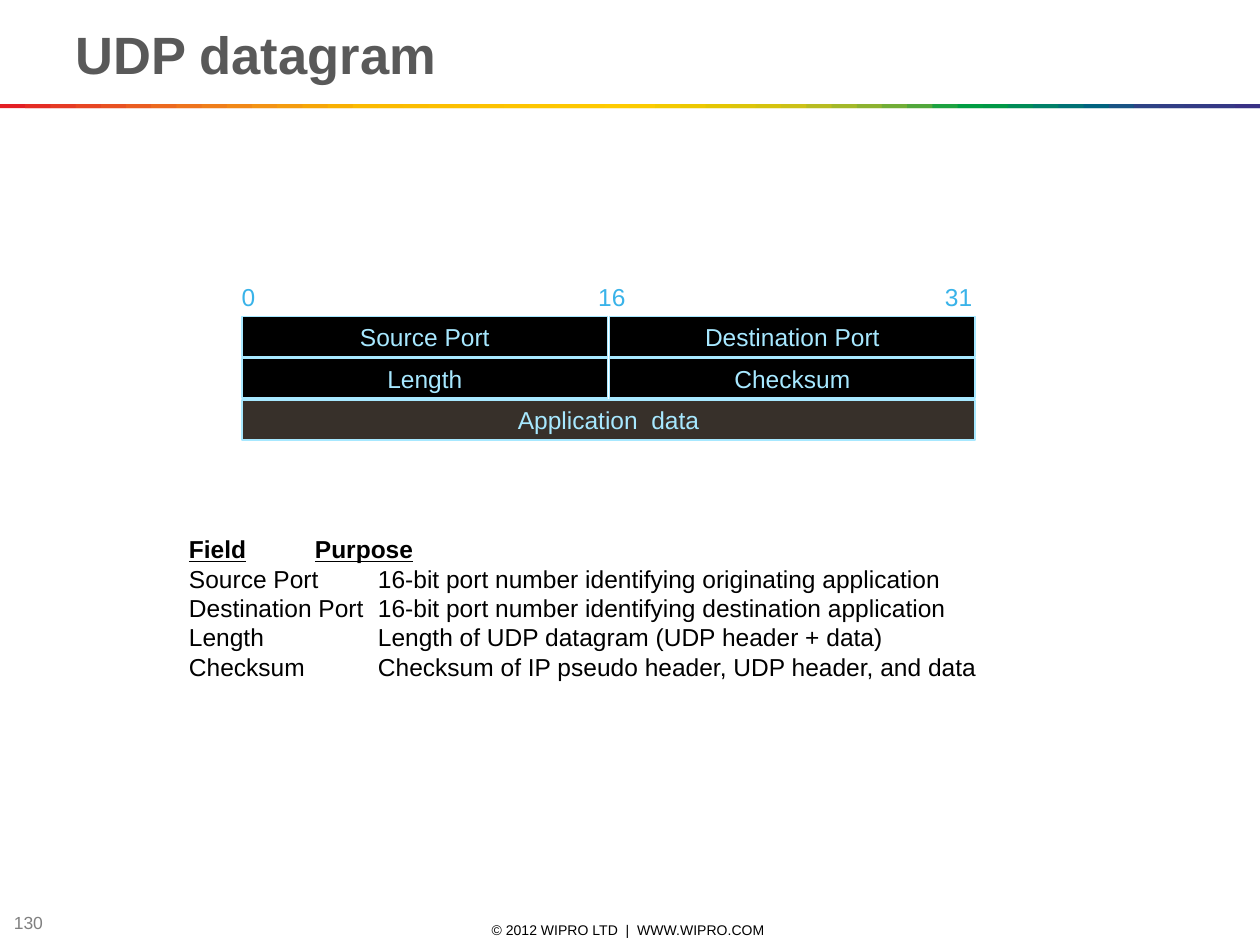
from typing import NamedTuple

from lxml.etree import SubElement
from pptx import Presentation
from pptx.dml.color import RGBColor as Rgb
from pptx.enum.shapes import MSO_SHAPE as Kind
from pptx.enum.text import MSO_ANCHOR as Anchor, PP_ALIGN as Align
from pptx.oxml.ns import qn
from pptx.slide import Slide
from pptx.text.text import TextFrame
from pptx.util import Cm, Pt

WIDE, HIGH = 25.4, 19.05
COLORS = {
    "title": "595959", "text": "000000", "page": "808080", "tick": "39B3E9",
    "edge": "A7E8FF", "head": "000000", "data": "37302A",
    "strip": "E31E24 E42C24 E53A24 E74623 E85122 EA5D21 EC691F EE741D EF7E1A F18817 "
             "F39314 F49C0F F6A607 F8B002 FBBA00 FBBB00 FBBD00 FCBF00 FCC000 FCC200 "
             "FDC400 FDC600 FDC700 FEC900 FECB00 FBCB00 F3CA00 ECC800 E4C602 DCC50A "
             "D5C30E CCC117 B8BC21 A3B829 8CB230 71AD36 51A73B 1DA240 009D43 009846 "
             "008C57 008068 007275 00637F 185384 2E4285 313E85 333B85 353885 393185",
}


class Box(NamedTuple):
    left: float
    top: float
    width: float
    height: float


class Label(NamedTuple):
    text: str
    box: Box
    size: int
    color: str
    bold: bool = False
    wrap: bool = True
    align: Align = Align.LEFT
    anchor: Anchor = Anchor.TOP
    pad: float = 0.13


class Field(NamedTuple):
    text: str
    row: int
    col: int = 0
    span: int = 1
    fill: str = "head"


LABELS = [
    Label("© 2012 WIPRO LTD  |  WWW.WIPRO.COM", Box(8.64, 18.54, 8.05, 0.41), 8, "text",
          align=Align.CENTER, anchor=Anchor.MIDDLE, pad=0),
    Label("130", Box(0.03, 18.34, 1.9, 0.53), 10, "page", anchor=Anchor.MIDDLE, pad=0),
    Label("UDP datagram", Box(1.27, 0.3, 22.86, 1.55), 30, "title", bold=True,
          anchor=Anchor.BOTTOM),
    Label("0", Box(4.62, 5.56, 0.79, 0.84), 14, "tick", wrap=False),
    Label("16", Box(11.81, 5.56, 1.07, 0.84), 14, "tick", wrap=False),
    Label("31", Box(18.8, 5.56, 1.07, 0.84), 14, "tick", wrap=False),
]
FIELDS = [
    Field("Source Port", 0), Field("Destination Port", 0, 1),
    Field("Length", 1), Field("Checksum", 1, 1),
    Field("Application  data", 2, span=2, fill="data"),
]
GRID = Box(4.88, 6.38, 7.37, 0.81)
GAP_X, GAP_Y = 0.04, 0.03
NOTES = [
    "Field\tPurpose",
    "Source Port\t16-bit port number identifying originating application",
    "Destination Port\t16-bit port number identifying destination application",
    "Length\tLength of UDP datagram (UDP header + data)",
    "Checksum\tChecksum of IP pseudo header, UDP header, and data",
]
HEAD_TAB, ROW_TAB = 2.54, 3.81


def color(name: str) -> Rgb:
    return Rgb.from_string(COLORS[name])


def style(frame: TextFrame, size: int, name: str, bold: bool = False) -> None:
    for para in frame.paragraphs:
        for run in para.runs:
            font = run.font
            font.name, font.size, font.bold = "Arial", Pt(size), bold
            font.color.rgb = color(name)


def add_label(slide: Slide, label: Label) -> TextFrame:
    frame = slide.shapes.add_textbox(*map(Cm, label.box)).text_frame
    frame.text = label.text
    frame.word_wrap = label.wrap
    frame.vertical_anchor = label.anchor
    frame.margin_top = frame.margin_bottom = Cm(label.pad)
    for para in frame.paragraphs:
        para.alignment = label.align
    style(frame, label.size, label.color, label.bold)
    return frame


def add_strip(slide: Slide) -> None:
    """Draw the rainbow rule as overlapping bars, each two steps wide."""
    tints = COLORS["strip"].split()
    step = WIDE / len(tints)
    for i, tint in enumerate(tints):
        left = i * step
        box = Box(left, 2.1, min(2 * step, WIDE - left), 0.08)
        bar = slide.shapes.add_shape(Kind.RECTANGLE, *map(Cm, box))
        bar.shadow.inherit = False
        bar.fill.solid()
        bar.fill.fore_color.rgb = Rgb.from_string(tint)
        bar.line.fill.background()


def add_field(slide: Slide, field: Field) -> None:
    box = Box(GRID.left + field.col * (GRID.width + GAP_X),
              GRID.top + field.row * (GRID.height + GAP_Y),
              field.span * (GRID.width + GAP_X) - GAP_X, GRID.height)
    cell = slide.shapes.add_shape(Kind.RECTANGLE, *map(Cm, box))
    cell.shadow.inherit = False
    cell.fill.solid()
    cell.fill.fore_color.rgb = color(field.fill)
    cell.line.color.rgb = color("edge")
    cell.line.width = Pt(1)
    frame = cell.text_frame
    frame.text = field.text
    frame.word_wrap = False
    frame.vertical_anchor = Anchor.MIDDLE
    frame.paragraphs[0].alignment = Align.CENTER
    style(frame, 14, "edge")


def add_notes(slide: Slide) -> None:
    """List each field with its purpose, lined up by tab stops."""
    box = Box(3.56, 10.64, 17.7, 3.2)
    frame = add_label(slide, Label("\n".join(NOTES), box, 14, "text"))
    for i, para in enumerate(frame.paragraphs):
        tabs = SubElement(para._p.get_or_add_pPr(), qn("a:tabLst"))
        stop = Cm(ROW_TAB if i else HEAD_TAB)
        SubElement(tabs, qn("a:tab"), pos=str(stop), algn="l")
    for run in frame.paragraphs[0].runs:
        run.font.bold = run.font.underline = True


def main() -> None:
    deck = Presentation()
    deck.slide_width, deck.slide_height = Cm(WIDE), Cm(HIGH)
    slide = deck.slides.add_slide(deck.slide_layouts[6])
    add_strip(slide)
    for label in LABELS:
        add_label(slide, label)
    for field in FIELDS:
        add_field(slide, field)
    add_notes(slide)
    deck.save("out.pptx")


if __name__ == "__main__":
    main()
